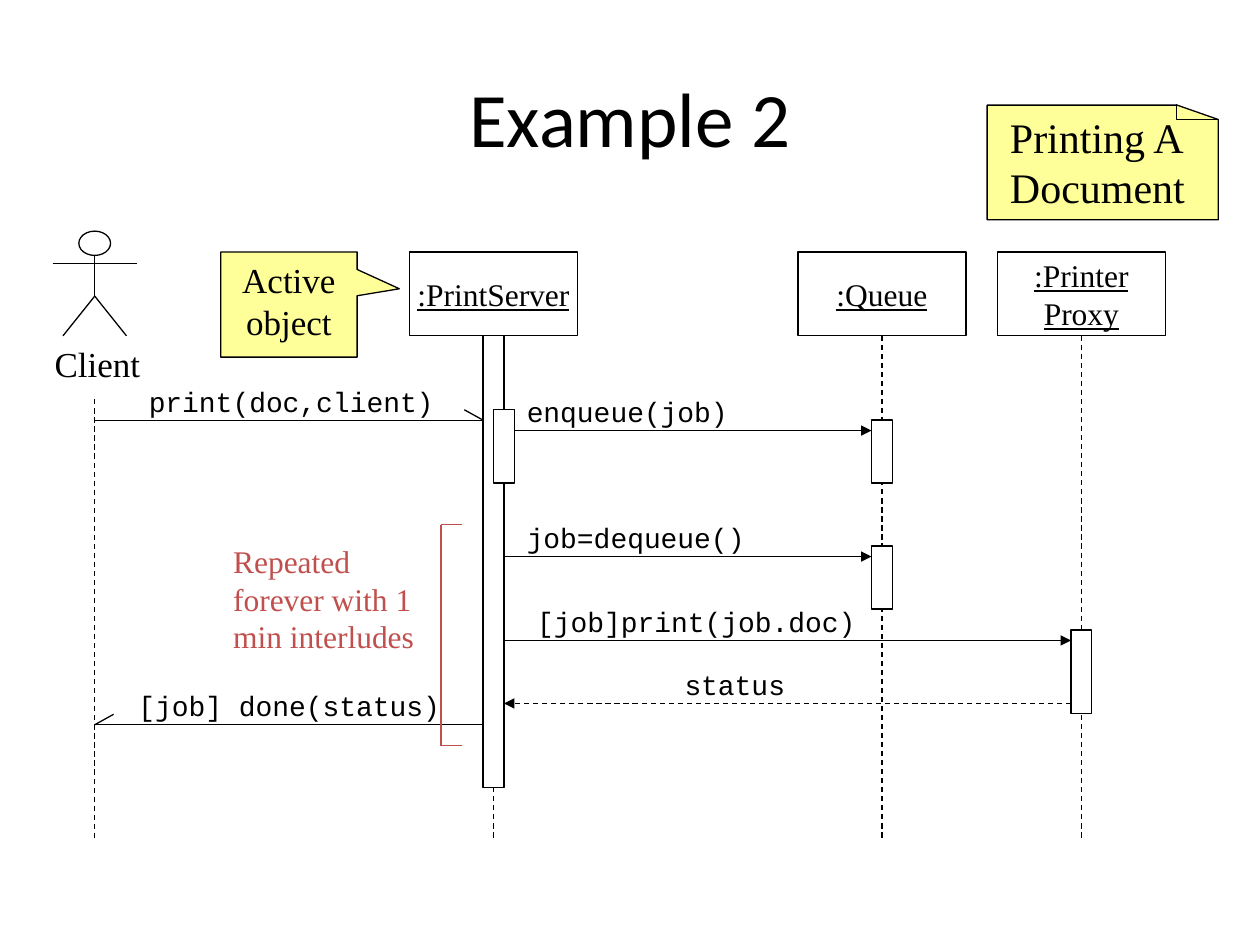
from lxml import etree
from pptx import Presentation
from pptx.dml.color import RGBColor
from pptx.enum import dml, shapes, text
from pptx.oxml.ns import qn
from pptx.util import Cm, Pt

BLACK = RGBColor(0, 0, 0)
WHITE = RGBColor(255, 255, 255)
YELLOW = RGBColor(255, 255, 153)
RED = RGBColor(192, 80, 77)
SERIF, MONO = "Times New Roman", "Courier New"
LEFT, MID = text.PP_ALIGN.LEFT, text.PP_ALIGN.CENTER
SHAPE, LINK = shapes.MSO_SHAPE, shapes.MSO_CONNECTOR

deck = Presentation()
deck.slide_width, deck.slide_height = Cm(25.4), Cm(19.05)
slide = deck.slides.add_slide(deck.slide_layouts[5])
items = slide.shapes


def join(x1, y1, x2, y2, color=BLACK, dash=False, arrow=False, kind=LINK.STRAIGHT):
    link = items.add_connector(kind, Cm(x1), Cm(y1), Cm(x2), Cm(y2))
    link.line.color.rgb = color
    link.line.width = Pt(0.75)
    if dash:
        link.line.dash_style = dml.MSO_LINE.DASH
    if arrow:
        etree.SubElement(link.line._get_or_add_ln(), qn("a:tailEnd"), type="triangle")
    etree.SubElement(link._element.spPr, qn("a:effectLst"))
    return link


def write(shape, words, size, font=SERIF, color=BLACK, align=LEFT, wrap=False, line=False):
    frame = shape.text_frame
    frame.text = words
    frame.word_wrap = wrap
    for par in frame.paragraphs:
        par.alignment = align
        for run in par.runs:
            run.font.size = Pt(size)
            run.font.name = font
            run.font.color.rgb = color
            if line:
                run.font.underline = True


# Title
title = items.title
title.left, title.top, title.width, title.height = Cm(1.27), Cm(0.76), Cm(22.86), Cm(3.18)
write(title, "Example 2", 44, "Calibri", align=MID, wrap=True)
title.text_frame.vertical_anchor = text.MSO_ANCHOR.MIDDLE

solid = []  # shapes and their fills, styled together at the end

# Client: stick figure and lifeline
actor = 1.91
foot, hip, neck, arm = 6.77, 5.97, 5.15, 5.31
for side in (-0.64, 0.64):
    join(actor + side, foot, actor, hip)
join(actor, hip, actor, neck)
join(actor - 0.85, arm, actor + 0.85, arm)
head = items.add_shape(SHAPE.OVAL, Cm(actor - 0.32), Cm(4.66), Cm(0.64), Cm(0.49))
solid.append((head, None))
join(actor, 8.05, actor, 16.93, dash=True)

# Objects and their lifelines
server, queue, proxy = 9.95, 17.78, 21.8
wide, high, top = 3.39, 1.69, 5.08
for x, name in ((server, ":PrintServer"), (queue, ":Queue"), (proxy, ":Printer\vProxy")):
    box = items.add_shape(SHAPE.RECTANGLE, Cm(x - wide / 2), Cm(top), Cm(wide), Cm(high))
    write(box, name, 18, align=MID, line=True)
    box.text_frame.vertical_anchor = text.MSO_ANCHOR.MIDDLE
    solid.append((box, None))
    join(x, top + high, x, 16.93, dash=True)

# Activation bars: centre, top, height
half = 0.21
for x, y, tall in (
    (server, 6.77, 9.1),
    (server + half, 8.26, 1.48),
    (queue, 8.47, 1.27),
    (queue, 11.01, 1.27),
    (proxy, 12.7, 1.69),
):
    bar = items.add_shape(SHAPE.RECTANGLE, Cm(x - half), Cm(y), Cm(2 * half), Cm(tall))
    solid.append((bar, WHITE))

# Messages with filled arrowheads
near, far = server + half, proxy - half
for x1, x2, y, dash in (
    (near + half, queue - half, 8.68, False),
    (near, queue - half, 11.22, False),
    (near, far, 12.91, False),
    (far, near, 14.18, True),
):
    join(x1, y, x2, y, dash=dash, arrow=True)

# Asynchronous messages with half arrowheads
edge = server - half
for x1, x2, y, back in ((actor, edge, 8.47, -0.38), (edge, actor, 14.61, 0.38)):
    join(x1, y, x2, y)
    join(x2, y, x2 + back, y - 0.21)

# Labels: left, top, width, height, words, size, font
for x, y, w, h, words, size, font in (
    (0.85, 6.77, 2.23, 1.1, "Client", 20, SERIF),
    (2.75, 7.62, 6.27, 0.94, "print(doc,client)", 16, MONO),
    (10.37, 7.83, 4.59, 0.94, "enqueue(job)", 16, MONO),
    (10.37, 10.37, 4.93, 0.94, "job=dequeue()", 16, MONO),
    (10.58, 12.07, 6.95, 0.94, "[job]print(job.doc)", 16, MONO),
    (13.55, 13.34, 2.55, 0.94, "status", 16, MONO),
    (2.54, 13.76, 6.62, 0.94, "[job] done(status)", 16, MONO),
):
    label = items.add_textbox(Cm(x), Cm(y), Cm(w), Cm(h))
    write(label, words, size, font)
    label.text_frame.auto_size = text.MSO_AUTO_SIZE.SHAPE_TO_FIT_TEXT

# Loop remark and bracket
remark = items.add_textbox(Cm(4.45), Cm(10.8), Cm(4.23), Cm(2.54))
write(remark, "Repeated forever with 1 min interludes", 18, color=RED, wrap=True)
join(8.89, 10.58, 8.89, 15.03, RED)
for y in (10.58, 15.03):
    join(8.89, y, 9.31, y, RED)

# Note with a folded corner
x1, x2, y1, y2 = 19.9, 24.56, 2.12, 4.43
fold, crease = 23.73, 2.41
pen = items.build_freeform(Cm(x1), Cm(y1))
pen.add_line_segments(
    [(Cm(x), Cm(y)) for x, y in ((x1, y2), (x2, y2), (x2, crease), (fold, y1))], close=True
)
solid.append((pen.convert_to_shape(), YELLOW))
bend = join(fold, y1, x2, crease, kind=LINK.ELBOW)
values = bend._element.spPr.find(qn("a:prstGeom")).get_or_add_avLst()
etree.SubElement(values, qn("a:gd"), name="adj1", fmla="val -1700")
note = items.add_textbox(Cm(20.11), Cm(y1), Cm(4.17), Cm(2.54))
write(note, "Printing A\nDocument", 24, wrap=True)

# Callout
call = items.add_shape(SHAPE.RECTANGULAR_CALLOUT, Cm(4.45), Cm(5.08), Cm(2.75), Cm(2.12))
call.adjustments[0], call.adjustments[1] = 0.81, -0.15
write(call, "Active object", 20, align=MID, wrap=True)
call.text_frame.vertical_anchor = text.MSO_ANCHOR.TOP
solid.append((call, YELLOW))

# Fill and outline
for shape, fill in solid:
    shape.shadow.inherit = False
    shape.line.color.rgb = BLACK
    shape.line.width = Pt(0.75)
    if fill is None:
        shape.fill.background()
    else:
        shape.fill.solid()
        shape.fill.fore_color.rgb = fill

deck.save("out.pptx")
